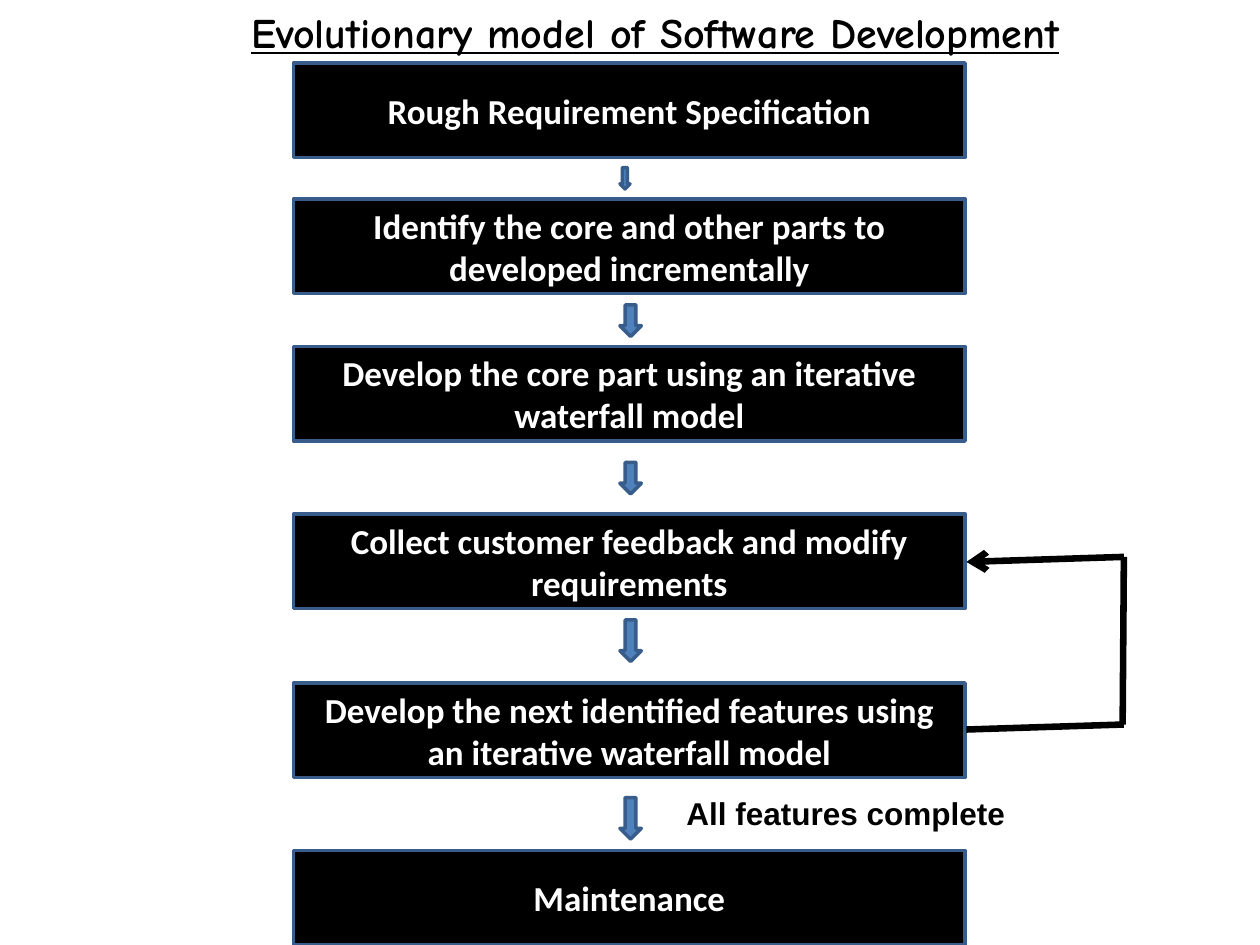
from lxml import etree
from pptx import Presentation
from pptx.dml.color import RGBColor
from pptx.enum.shapes import MSO_CONNECTOR, MSO_SHAPE
from pptx.enum.text import MSO_ANCHOR, MSO_AUTO_SIZE, PP_ALIGN
from pptx.oxml.ns import qn
from pptx.util import Inches, Pt

RECT, DOWN = MSO_SHAPE.RECTANGLE, MSO_SHAPE.DOWN_ARROW
STRAIGHT = MSO_CONNECTOR.STRAIGHT
LEFT, CENTER = PP_ALIGN.LEFT, PP_ALIGN.CENTER
MIDDLE = MSO_ANCHOR.MIDDLE
GROW = MSO_AUTO_SIZE.SHAPE_TO_FIT_TEXT

STEPS = [
    (0.5, "Rough Requirement Specification"),
    (1.58, "Identify the core and other parts to developed incrementally"),
    (2.75, "Develop the core part using an iterative waterfall model"),
    (4.08, "Collect customer feedback and modify requirements"),
    (5.42, "Develop the next identified features using an iterative waterfall model"),
    (6.75, "Maintenance"),
]
ARROWS = [(1.33, 0.08, 0.17), (2.42, 0.17, 0.25), (3.67, 0.17, 0.25),
          (4.92, 0.17, 0.33), (6.33, 0.17, 0.33)]
LOOP = [((7.67, 5.79), (8.92, 5.75), False),
        ((8.92, 4.42), (8.91, 5.75), False),
        ((8.92, 4.42), (7.67, 4.46), True)]


def paint(color):
    """Turn a hex string into a colour."""
    return RGBColor.from_string(color)


def write(frame, text, font="Calibri", size=20, color="FFFFFF", align=CENTER, under=None):
    """Put one bold paragraph into a text frame."""
    para = frame.paragraphs[0]
    para.alignment = align
    run = para.add_run()
    run.text = text
    run.font.name = font
    run.font.size = Pt(size)
    run.font.bold = True
    run.font.underline = under
    run.font.color.rgb = paint(color)


class Chart:
    """Hold the style and the slide of the flow chart."""

    ink, blue, edge = "000000", "4F81BD", "385D8A"

    def __init__(self, slide):
        """Keep the slide to draw on."""
        self.shapes = slide.shapes

    def shape(self, kind, place, fill):
        """Add a filled preset shape with the common outline."""
        shape = self.shapes.add_shape(kind, *map(Inches, place))
        shape.shadow.inherit = False
        shape.fill.solid()
        shape.fill.fore_color.rgb = paint(fill)
        shape.line.color.rgb = paint(self.edge)
        shape.line.width = Pt(2)
        return shape

    def step(self, top, text):
        """Add one step of the process."""
        frame = self.shape(RECT, (2.33, top, 5.33, 0.75), self.ink).text_frame
        frame.word_wrap = True
        frame.vertical_anchor = MIDDLE
        write(frame, text)

    def arrow(self, top, width, height):
        """Add a block arrow between two steps."""
        self.shape(DOWN, (4.92, top, width, height), self.blue)

    def label(self, place, text, **style):
        """Add a text box that fits its single line."""
        frame = self.shapes.add_textbox(*map(Inches, place)).text_frame
        frame.word_wrap = False
        frame.auto_size = GROW
        write(frame, text, color=self.ink, **style)

    def line(self, start, end, head):
        """Add a thick line, with an arrowhead at its end if asked."""
        line = self.shapes.add_connector(STRAIGHT, *map(Inches, start + end))
        line.line.color.rgb = paint(self.ink)
        line.line.width = Pt(3.75)
        if head:
            etree.SubElement(line.line._get_or_add_ln(), qn("a:tailEnd"), type="arrow")
        etree.SubElement(line._element.spPr, qn("a:effectLst"))


def main():
    """Build the slide and save it."""
    deck = Presentation()
    deck.slide_width, deck.slide_height = Inches(10), Inches(7.5)
    chart = Chart(deck.slides.add_slide(deck.slide_layouts[6]))
    chart.label((1.31, 0, 7.78, 0.5), "Evolutionary model of Software Development",
                font="Comic Neue", size=24, under=True)
    for step in STEPS:
        chart.step(*step)
    for arrow in ARROWS:
        chart.arrow(*arrow)
    for line in LOOP:
        chart.line(*line)
    chart.label((5.35, 6.25, 2.73, 0.4), "All features complete",
                font="Arial", size=18, align=LEFT)
    deck.save("out.pptx")


if __name__ == "__main__":
    main()
